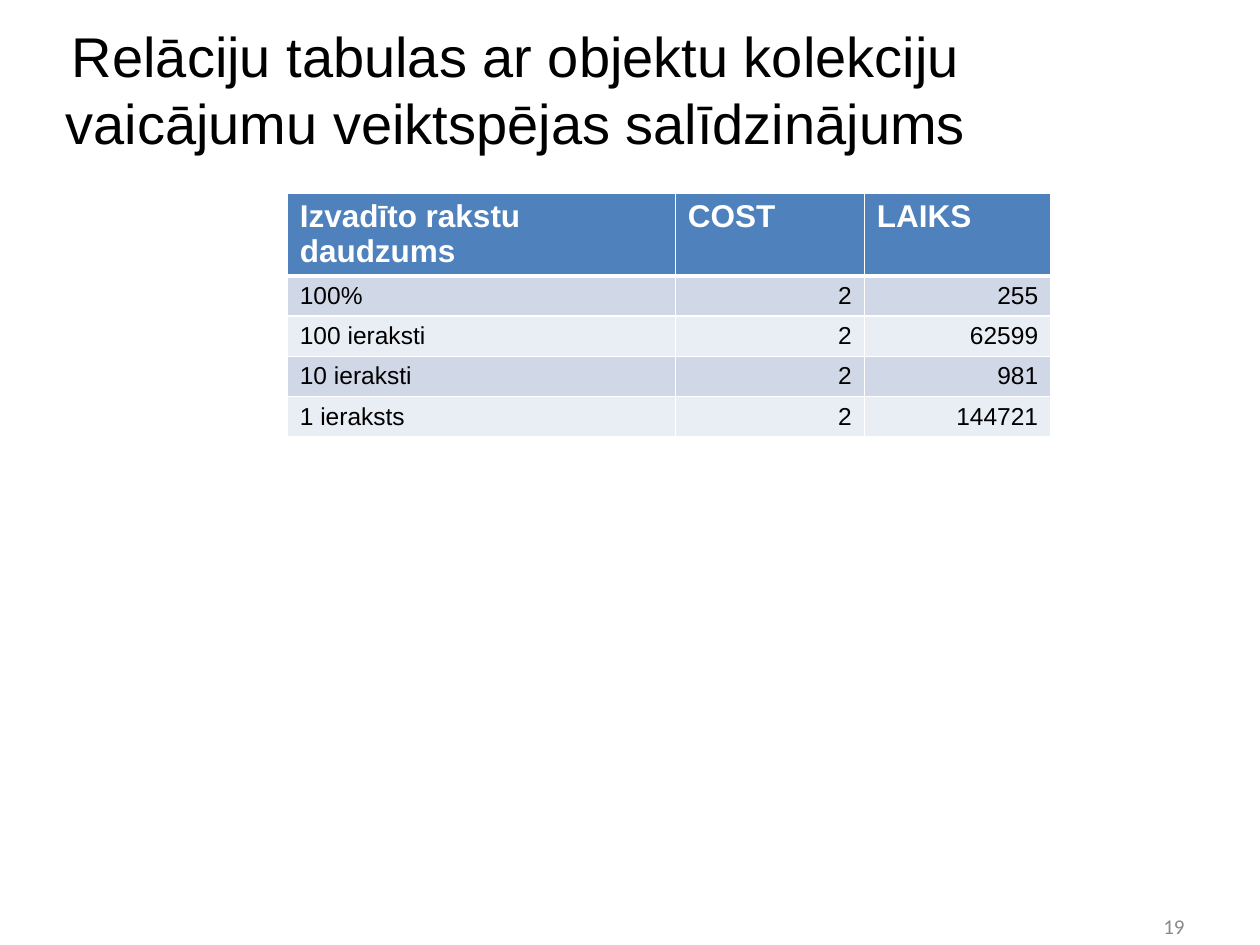
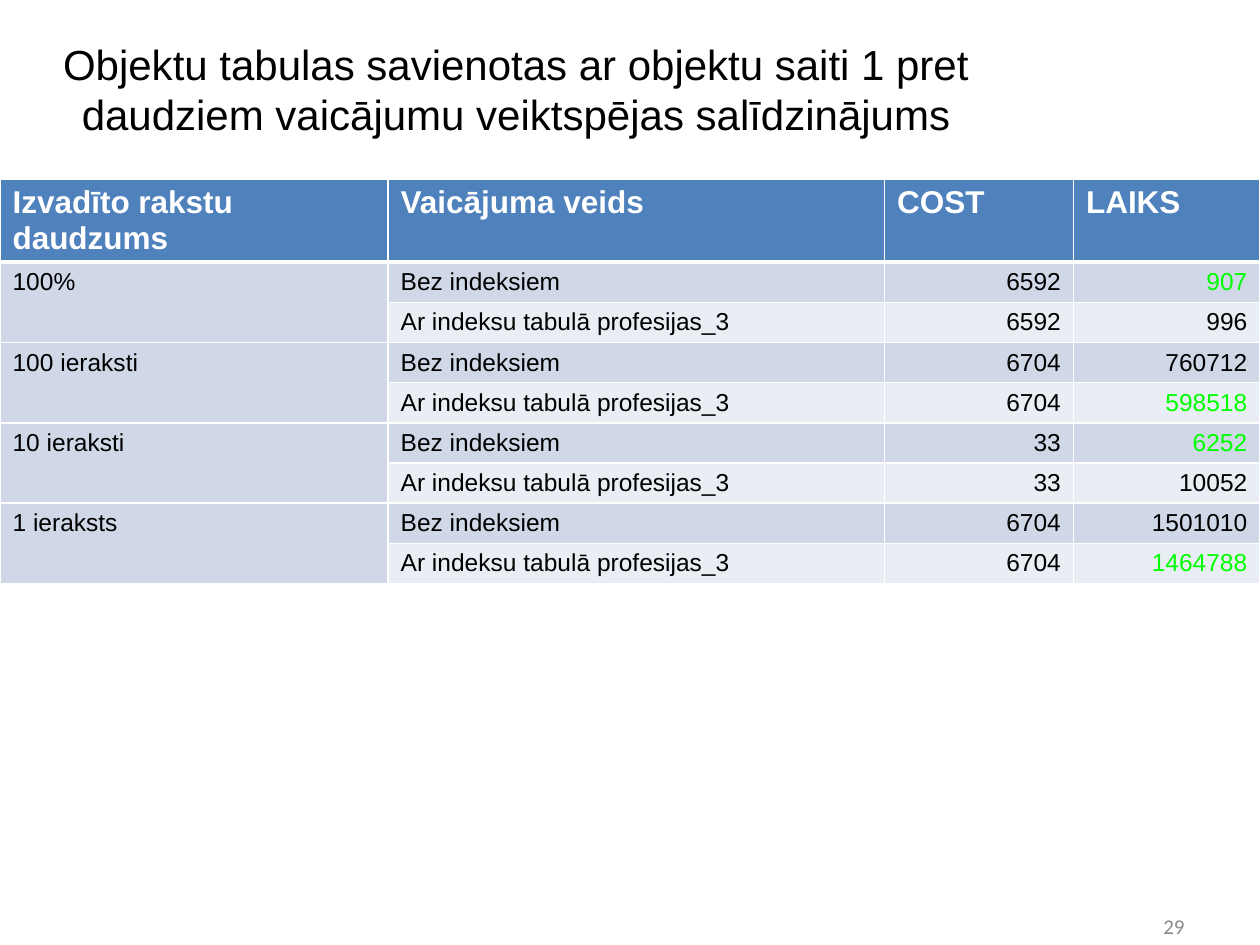
from pptx import Presentation
from pptx.dml.color import RGBColor
from pptx.enum.text import MSO_ANCHOR as Anchor, MSO_AUTO_SIZE as AutoSize, PP_ALIGN as Align
from pptx.oxml import parse_xml
from pptx.oxml.ns import nsdecls
from pptx.util import Pt

COLOURS = {
    "text": "000000",
    "header": "4F81BD",
    "header_text": "FFFFFF",
    "border": "FFFFFF",
    "odd_row": "D0D8E8",
    "even_row": "E9EDF4",
    "fastest": "00FF00",
    "number": "898989",
}
AMOUNT, QUERY, COST, TIME = "Izvadīto rakstu daudzums", "Vaicājuma veids", "COST", "LAIKS"
WIDTHS = {AMOUNT: 221.76, QUERY: 283.68, COST: 108, TIME: 106.56}
PLAIN, INDEXED = "Bez indeksiem", "Ar indeksu tabulā profesijas_3"
HEADER_HEIGHT, ROW_HEIGHT = 17, 15

SLIDES = [
    {
        "title": "Relāciju tabulas ar objektu kolekciju vaicājumu veiktspējas salīdzinājums",
        "title_size": 32,
        "number": "19",
        "table_at": (164.16, 110.16),
        "table_height": 124.56,
        "columns": [AMOUNT, COST, TIME],
        "rows": [
            ("100%", "2", "255"),
            ("100 ieraksti", "2", "62599"),
            ("10 ieraksti", "2", "981"),
            ("1 ieraksts", "2", "144721"),
        ],
        "fastest": [],
    },
    {
        "title": "Objektu tabulas savienotas ar objektu saiti 1 pret daudziem "
                 "vaicājumu veiktspējas salīdzinājums",
        "title_size": 24,
        "number": "29",
        "table_at": (0, 102.24),
        "table_height": 221.04,
        "columns": [AMOUNT, QUERY, COST, TIME],
        "rows": [
            ("100%", PLAIN, "6592", "907"),
            (None, INDEXED, "6592", "996"),
            ("100 ieraksti", PLAIN, "6704", "760712"),
            (None, INDEXED, "6704", "598518"),
            ("10 ieraksti", PLAIN, "33", "6252"),
            (None, INDEXED, "33", "10052"),
            ("1 ieraksts", PLAIN, "6704", "1501010"),
            (None, INDEXED, "6704", "1464788"),
        ],
        "fastest": ["907", "598518", "6252", "1464788"],
    },
]


def rgb(name):
    return RGBColor.from_string(COLOURS[name])


def write(frame, text, size, colour="text", font="Arial", align=Align.LEFT, bold=False):
    para = frame.paragraphs[0]
    para.alignment = align
    span = para.add_run()
    span.text = text
    span.font.size = Pt(size)
    span.font.name = font
    span.font.bold = bold
    span.font.color.rgb = rgb(colour)


def set_borders(cell, row):
    widths = {"L": 1, "R": 1, "T": 3 if row == 1 else 1, "B": 3 if row == 0 else 1}
    properties = cell._tc.get_or_add_tcPr()
    for side, width in widths.items():
        properties.append(parse_xml(
            f'<a:ln{side} {nsdecls("a")} w="{Pt(width)}"><a:solidFill>'
            f'<a:srgbClr val="{COLOURS["border"]}"/></a:solidFill></a:ln{side}>'))


def set_fill(cell, colour):
    cell.fill.solid()
    cell.fill.fore_color.rgb = rgb(colour)


def add_title(page, text, size):
    title = page.shapes.title
    title.left, title.top, title.width, title.height = Pt(13.68), Pt(5.76), Pt(562.32), Pt(90)
    frame = title.text_frame
    frame.word_wrap = True
    frame.auto_size = AutoSize.NONE
    frame.vertical_anchor = Anchor.MIDDLE
    write(frame, text, size, align=Align.CENTER)


def add_number(page, text):
    box = page.shapes.add_textbox(Pt(516.24), Pt(514.8), Pt(167.76), Pt(28.8))
    box.text_frame.word_wrap = True
    box.text_frame.vertical_anchor = Anchor.MIDDLE
    write(box.text_frame, text, 12, "number", "Calibri", Align.RIGHT)


def add_results(page, content):
    columns = content["columns"]
    rows = [columns] + content["rows"]
    left, top = content["table_at"]
    holder = page.shapes.add_table(
        len(rows), len(columns), Pt(left), Pt(top),
        Pt(sum(WIDTHS[name] for name in columns)), Pt(content["table_height"]))
    table = holder.table
    table.horz_banding = False
    for column, name in zip(table.columns, columns):
        column.width = Pt(WIDTHS[name])
    for r, values in enumerate(rows):
        table.rows[r].height = Pt(ROW_HEIGHT if r else HEADER_HEIGHT)
        for c, (name, value) in enumerate(zip(columns, values)):
            cell = table.cell(r, c)
            set_borders(cell, r)
            if r == 0:
                set_fill(cell, "header")
                write(cell.text_frame, value, 18, "header_text", bold=True)
                continue
            set_fill(cell, "odd_row" if r % 2 or value is None else "even_row")
            if value is None:
                table.cell(r - 1, c).merge(cell)
                continue
            colour = "fastest" if name == TIME and value in content["fastest"] else "text"
            align = Align.RIGHT if name in (COST, TIME) else Align.LEFT
            write(cell.text_frame, value, 14, colour, align=align)
    holder.height = Pt(content["table_height"])


deck = Presentation()
deck.slide_width, deck.slide_height = Pt(720), Pt(540)
for content in SLIDES:
    page = deck.slides.add_slide(deck.slide_layouts[5])
    add_title(page, content["title"], content["title_size"])
    add_results(page, content)
    add_number(page, content["number"])
deck.save("out.pptx")
